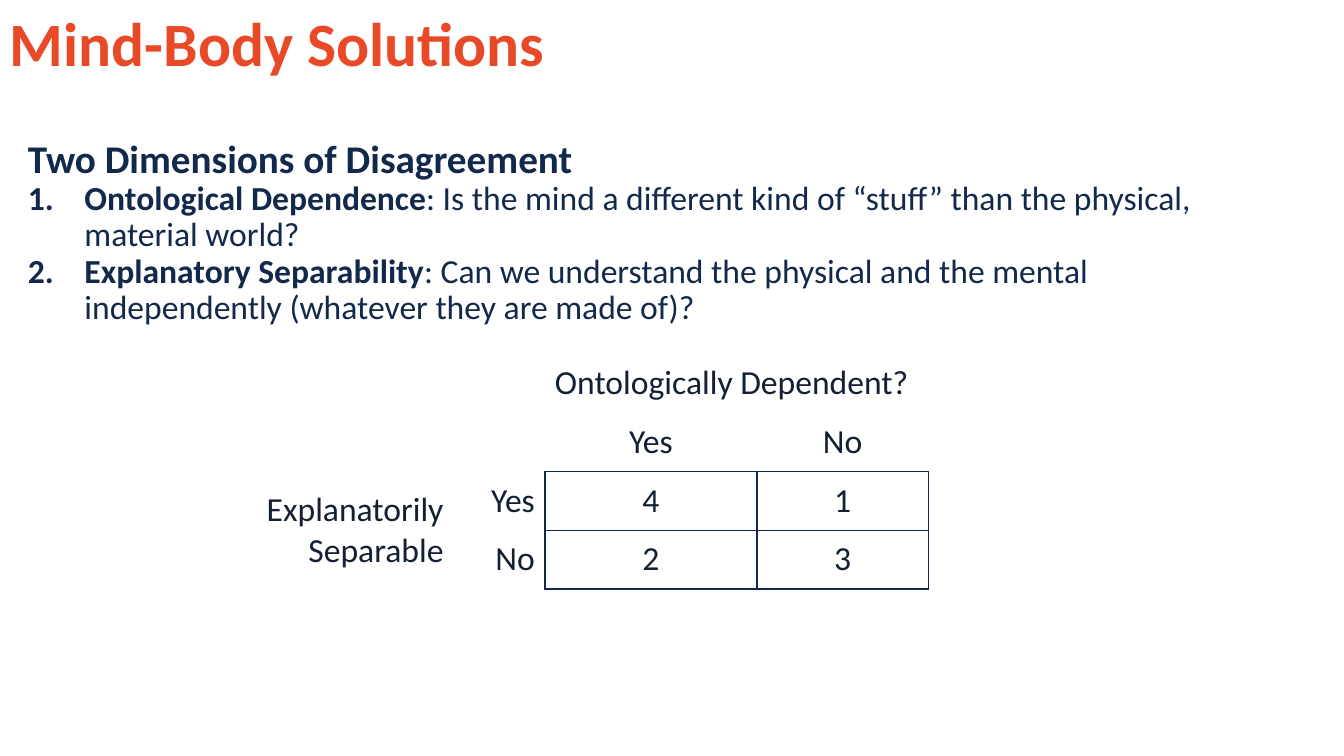
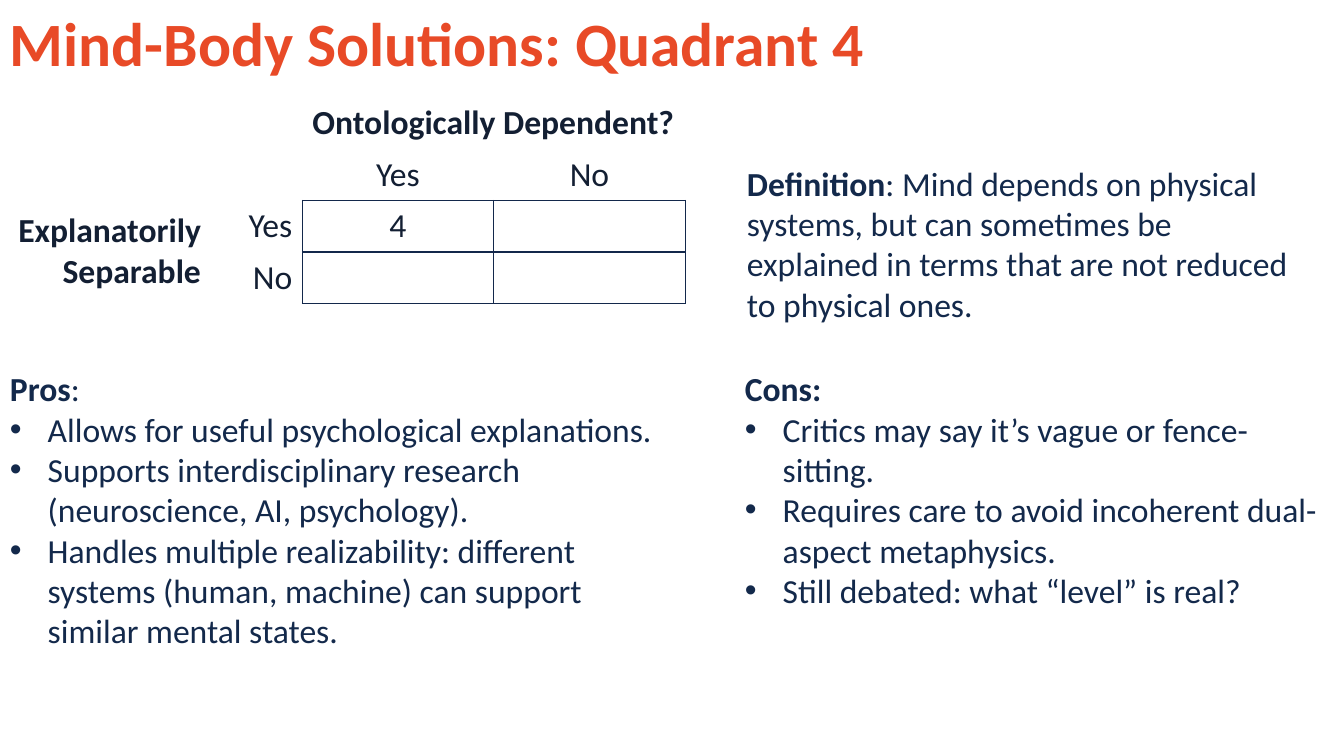
from dataclasses import dataclass

import pptx
import pptx.dml.color
import pptx.enum.text
import pptx.oxml
import pptx.oxml.ns
import pptx.presentation
import pptx.slide
import pptx.table
import pptx.text.text
import pptx.util

PIXEL = 9525
SLIDE_WIDTH, SLIDE_HEIGHT = 1280, 720
FONT = "Calibri"
BODY_SIZE = 24
COLORS = {"title": "E84A27", "navy": "13294B", "table": "131F33", "border": "13284B"}
PLAIN_TABLE_STYLE = "{2D5ABB26-0587-4C30-8999-92F81FD0307C}"
NUMBER = '<a:buAutoNum {} type="arabicPeriod"/>'
DOT = '<a:buChar {} char="•"/>'
ALIGN = pptx.enum.text.PP_ALIGN
MIDDLE = pptx.enum.text.MSO_ANCHOR.MIDDLE


@dataclass(frozen=True)
class Box:
    left: int
    top: int
    width: int
    height: int

    def emu(self) -> tuple[int, ...]:
        return tuple(px(n) for n in (self.left, self.top, self.width, self.height))


@dataclass(frozen=True)
class Line:
    lead: str = ""
    rest: str = ""
    size: int = BODY_SIZE
    bullet: str = ""
    indent: int = 0


@dataclass(frozen=True)
class Matrix:
    left: int
    top: int
    columns: tuple[int, ...]
    row_height: int
    bold_headings: bool
    quadrants: tuple[tuple[str, str], tuple[str, str]]


def px(length: int) -> int:
    return pptx.util.Emu(length * PIXEL)


def add_run(paragraph: pptx.text.text._Paragraph, text: str, size: int,
            color: str, bold: bool) -> None:
    run = paragraph.add_run()
    run.text = text
    run.font.name = FONT
    run.font.size = pptx.util.Pt(size)
    run.font.bold = bold
    run.font.color.rgb = pptx.dml.color.RGBColor.from_string(COLORS[color])


def add_bullet(paragraph: pptx.text.text._Paragraph, bullet: str, indent: int) -> None:
    properties = paragraph._p.get_or_add_pPr()
    properties.set("marL", str(px(indent)))
    properties.set("indent", str(-px(indent)))
    namespace = pptx.oxml.ns.nsdecls("a")
    if bullet == DOT:
        properties.append(pptx.oxml.parse_xml(f'<a:buFont {namespace} typeface="Arial"/>'))
    properties.append(pptx.oxml.parse_xml(bullet.format(namespace)))


def add_text(slide: pptx.slide.Slide, box: Box, lines: list[Line], color: str = "navy",
             line_spacing: float = 1.0) -> pptx.text.text.TextFrame:
    frame = slide.shapes.add_textbox(*box.emu()).text_frame
    frame.word_wrap = True
    for index, line in enumerate(lines):
        paragraph = frame.add_paragraph() if index else frame.paragraphs[0]
        paragraph.line_spacing = line_spacing
        if line.bullet:
            add_bullet(paragraph, line.bullet, line.indent)
        for text, bold in ((line.lead, True), (line.rest, False)):
            if text:
                add_run(paragraph, text, line.size, color, bold)
    return frame


def add_titled_slide(presentation: pptx.presentation.Presentation,
                     title: str) -> pptx.slide.Slide:
    slide = presentation.slides.add_slide(presentation.slide_layouts[6])
    frame = add_text(slide, Box(0, 0, SLIDE_WIDTH, 88), [Line(title, size=44)], "title", 0.9)
    frame.vertical_anchor = MIDDLE
    return slide


def set_borders(cell: pptx.table._Cell, sides: str) -> None:
    properties = cell._tc.get_or_add_tcPr()
    for side in sides:
        properties.append(pptx.oxml.parse_xml(
            f'<a:ln{side} {pptx.oxml.ns.nsdecls("a")} w="12700"><a:solidFill>'
            f'<a:srgbClr val="{COLORS["border"]}"/></a:solidFill></a:ln{side}>'))


def set_cell(cell: pptx.table._Cell, text: str, alignment: ALIGN, bold: bool = False) -> None:
    cell.vertical_anchor = MIDDLE
    paragraph = cell.text_frame.paragraphs[0]
    paragraph.alignment = alignment
    if text:
        add_run(paragraph, text, BODY_SIZE, "table", bold)


def add_matrix(slide: pptx.slide.Slide, matrix: Matrix) -> None:
    row_count = 4
    box = Box(matrix.left, matrix.top, sum(matrix.columns), row_count * matrix.row_height)
    table = slide.shapes.add_table(row_count, len(matrix.columns), *box.emu()).table
    table.first_row = table.horz_banding = False
    table._tbl.tblPr.find(pptx.oxml.ns.qn("a:tableStyleId")).text = PLAIN_TABLE_STYLE
    for column, width in zip(table.columns, matrix.columns):
        column.width = px(width)
    for row in table.rows:
        row.height = px(matrix.row_height)

    borders = {(1, 2): "B", (1, 3): "B", (2, 1): "R", (3, 1): "R"}
    borders |= {(row, column): "LRTB" for row in (2, 3) for column in (2, 3)}
    for row in range(row_count):
        for column in range(len(matrix.columns)):
            cell = table.cell(row, column)
            set_borders(cell, borders.get((row, column), ""))
            cell.fill.background()

    table.cell(0, 2).merge(table.cell(0, 3))
    table.cell(2, 0).merge(table.cell(3, 0))
    set_cell(table.cell(0, 2), "Ontologically Dependent?", ALIGN.LEFT, matrix.bold_headings)
    set_cell(table.cell(2, 0), "Explanatorily Separable", ALIGN.RIGHT, matrix.bold_headings)
    for index, answer in enumerate(("Yes", "No")):
        set_cell(table.cell(1, 2 + index), answer, ALIGN.CENTER)
        set_cell(table.cell(2 + index, 1), answer, ALIGN.RIGHT)
        for offset, value in enumerate(matrix.quadrants[index]):
            set_cell(table.cell(2 + index, 2 + offset), value, ALIGN.CENTER)


def bullets(*texts: str) -> list[Line]:
    return [Line(rest=text, bullet=DOT, indent=36) for text in texts]


def build_dimensions(presentation: pptx.presentation.Presentation) -> None:
    slide = add_titled_slide(presentation, "Mind-Body Solutions")
    add_text(slide, Box(17, 128, 1206, 209), [
        Line("Two Dimensions of Disagreement", size=28),
        Line("Ontological Dependence",
             ": Is the mind a different kind of “stuff” than the physical, material world?",
             bullet=NUMBER, indent=54),
        Line("Explanatory Separability",
             ": Can we understand the physical and the mental independently "
             "(whatever they are made of)?",
             bullet=NUMBER, indent=54),
    ], line_spacing=0.9)
    add_matrix(slide, Matrix(231, 337, (201, 87, 202, 163), 56, False,
                             (("4", "1"), ("2", "3"))))


def build_quadrant(presentation: pptx.presentation.Presentation) -> None:
    slide = add_titled_slide(presentation, "Mind-Body Solutions: Quadrant 4")
    add_matrix(slide, Matrix(0, 93, (201, 87, 182, 183), 49, True,
                             (("4", ""), ("", ""))))
    add_text(slide, Box(0, 346, 653, 281), [Line("Pros", ":")] + bullets(
        "Allows for useful psychological explanations.",
        "Supports interdisciplinary research (neuroscience, AI, psychology).",
        "Handles multiple realizability: different systems (human, machine) "
        "can support similar mental states."))
    add_text(slide, Box(700, 346, 580, 242), [Line("Cons:")] + bullets(
        "Critics may say it’s vague or fence-sitting.",
        "Requires care to avoid incoherent dual-aspect metaphysics.",
        "Still debated: what “level” is real?"))
    add_text(slide, Box(702, 150, 550, 165), [
        Line("Definition",
             ": Mind depends on physical systems, but can sometimes be explained "
             "in terms that are not reduced to physical ones.")])


def main() -> None:
    presentation = pptx.Presentation()
    presentation.slide_width = px(SLIDE_WIDTH)
    presentation.slide_height = px(SLIDE_HEIGHT)
    build_dimensions(presentation)
    build_quadrant(presentation)
    presentation.save("out.pptx")


if __name__ == "__main__":
    main()
